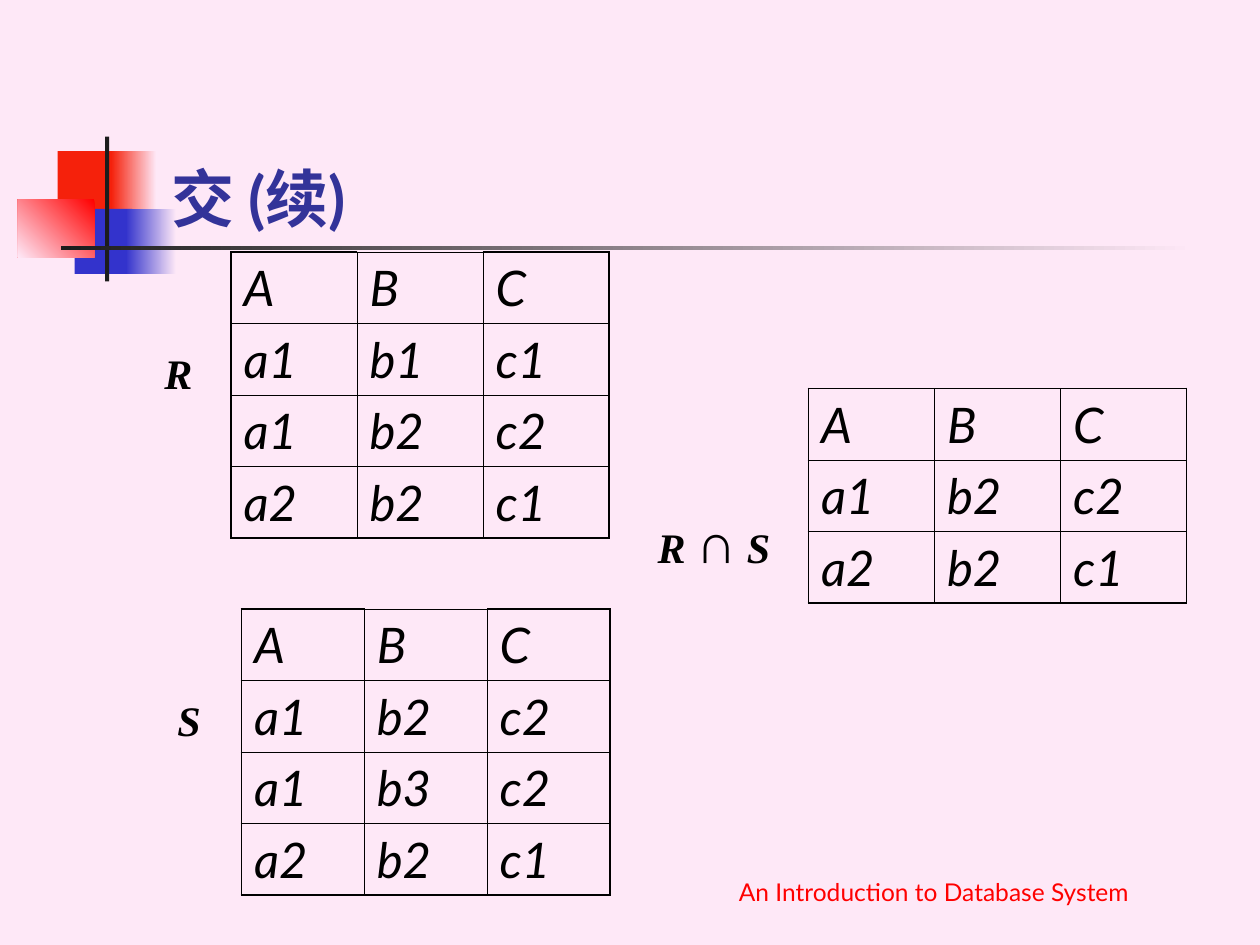
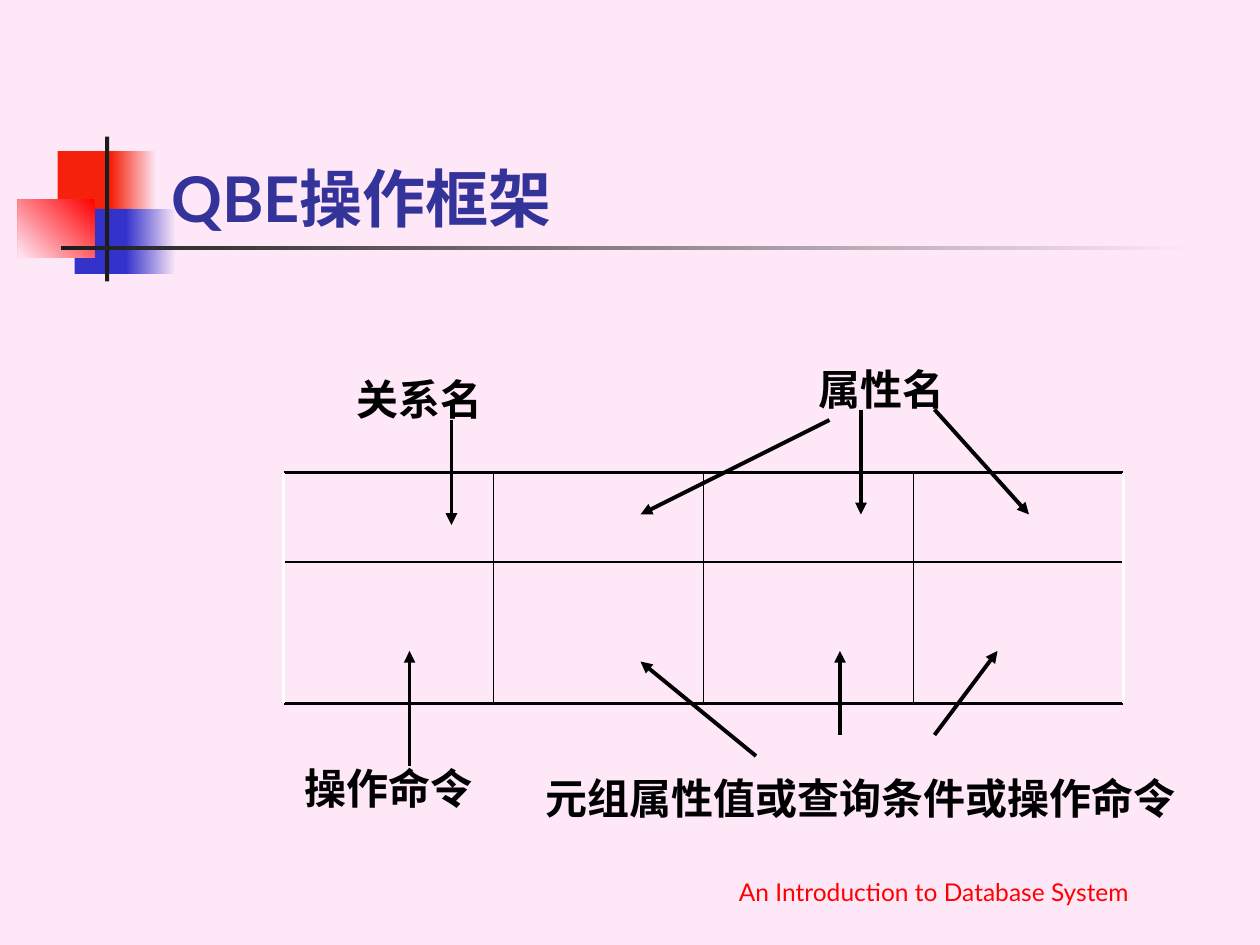
"""Build two database lecture slides: set intersection and the QBE operation frame."""
from dataclasses import dataclass

import lxml.etree
import pptx
import pptx.dml.color
import pptx.enum.shapes
import pptx.enum.text
import pptx.oxml.ns
import pptx.presentation
import pptx.shapes.autoshape
import pptx.slide
import pptx.text.text
import pptx.util

EMU_PER_PX = 7620
PINK, BLACK, WHITE, RED = "FEE8F7", "000000", "FFFFFF", "FF0000"
SCARLET, BLUE, CHARCOAL, NAVY = "F5210B", "3333CC", "1C1C1C", "333399"
SANS, SERIF = "Lato", "Times New Roman"
THIN_BORDER, THICK_BORDER = 0.45, 1.08
ROW_HEIGHT = 68
CENTER = pptx.enum.text.PP_ALIGN.CENTER
LEFT = pptx.enum.text.PP_ALIGN.LEFT
MIDDLE = pptx.enum.text.MSO_ANCHOR.MIDDLE
BOTTOM = pptx.enum.text.MSO_ANCHOR.BOTTOM


@dataclass(frozen=True)
class Box:
    left: int
    top: int
    width: int
    height: int


@dataclass(frozen=True)
class Block:
    box: Box
    colors: tuple[str, ...]
    angle: int = 180


@dataclass(frozen=True)
class TextStyle:
    size: int
    font: str
    color: str = BLACK
    bold: bool = False
    italic: bool = False


@dataclass(frozen=True)
class Label:
    text: str
    box: Box
    style: TextStyle
    anchor: pptx.enum.text.MSO_ANCHOR = MIDDLE
    wrap: bool = False


@dataclass(frozen=True)
class Relation:
    left: int
    top: int
    column_width: int
    rows: tuple[str, ...]


@dataclass(frozen=True)
class Line:
    start: tuple[int, int]
    end: tuple[int, int]
    width: float = 2.25
    color: str = BLACK
    arrow: bool = False


TITLE_STYLE = TextStyle(36, SANS, NAVY, bold=True)
CELL_STYLE = TextStyle(28, SANS, italic=True)
SYMBOL_STYLE = TextStyle(24, SERIF, bold=True, italic=True)
CAPTION_STYLE = TextStyle(24, SERIF, bold=True)
TITLE_BOX = Box(151, 80, 1022, 150)
FOOTER = Label("An Introduction to Database System", Box(610, 809, 559, 60),
               TextStyle(14, SANS, RED), BOTTOM, True)

ORNAMENT = (
    Block(Box(55, 144, 58, 62), (SCARLET,)),
    Block(Box(106, 144, 43, 62), (PINK, SCARLET)),
    Block(Box(71, 199, 55, 62), (BLUE,)),
    Block(Box(120, 199, 48, 62), (PINK, BLUE)),
    Block(Box(17, 190, 73, 55), (RED, PINK), 225),
    Block(Box(100, 130, 4, 138), (CHARCOAL,)),
    Block(Box(58, 234, 1080, 4), (PINK, CHARCOAL)),
)

RELATIONS = (
    Relation(220, 240, 120, ("A B C", "a1 b1 c1", "a1 b2 c2", "a2 b2 c1")),
    Relation(770, 370, 120, ("A B C", "a1 b2 c2", "a2 b2 c1")),
    Relation(230, 580, 117, ("A B C", "a1 b2 c2", "a1 b3 c2", "a2 b2 c1")),
)

RELATION_LABELS = (
    Label("R", Box(150, 300, 40, 110), SYMBOL_STYLE),
    Label("S", Box(160, 630, 40, 110), SYMBOL_STYLE),
)
INTERSECTION_BOX = Box(630, 460, 110, 110)

FRAME_X = tuple(270 + 200 * column for column in range(5))
FRAME_Y = (450, 535, 670)

FRAME_LABELS = (
    Label("关系名", Box(330, 340, 140, 80), CAPTION_STYLE),
    Label("属性名", Box(770, 330, 140, 80), CAPTION_STYLE),
    Label("操作命令", Box(300, 710, 140, 80), CAPTION_STYLE),
    Label("元组属性值或查询条件或操作命令", Box(680, 720, 280, 80), CAPTION_STYLE),
)

FRAME_ARROWS = (
    ((430, 400), (430, 500)),
    ((390, 730), (390, 620)),
    ((800, 700), (800, 620)),
    ((890, 700), (950, 620)),
    ((720, 720), (610, 630)),
    ((820, 390), (820, 490)),
    ((790, 400), (610, 490)),
    ((890, 390), (980, 490)),
)


def px(length: int) -> pptx.util.Emu:
    return pptx.util.Emu(length * EMU_PER_PX)


def rgb(color: str) -> pptx.dml.color.RGBColor:
    return pptx.dml.color.RGBColor.from_string(color)


def place(box: Box) -> tuple[pptx.util.Emu, ...]:
    return px(box.left), px(box.top), px(box.width), px(box.height)


def add_element(parent: lxml.etree.ElementBase, tag: str, **attributes: str) -> lxml.etree.ElementBase:
    return lxml.etree.SubElement(parent, pptx.oxml.ns.qn(tag), attributes)


def style_paragraph(paragraph: pptx.text.text._Paragraph, style: TextStyle) -> None:
    font = paragraph.font
    font.size = pptx.util.Pt(style.size)
    font.name = style.font
    font.color.rgb = rgb(style.color)
    font.bold = style.bold
    font.italic = style.italic


def add_rectangle(slide: pptx.slide.Slide, box: Box) -> pptx.shapes.autoshape.Shape:
    shape = slide.shapes.add_shape(pptx.enum.shapes.MSO_SHAPE.RECTANGLE, *place(box))
    shape.shadow.inherit = False
    shape.line.fill.background()
    return shape


def draw_block(slide: pptx.slide.Slide, block: Block) -> None:
    fill = add_rectangle(slide, block.box).fill
    if len(block.colors) == 1:
        fill.solid()
        fill.fore_color.rgb = rgb(block.colors[0])
    else:
        fill.gradient()
        fill.gradient_angle = block.angle
        for stop, color in zip(fill.gradient_stops, block.colors):
            stop.color.rgb = rgb(color)


def draw_label(slide: pptx.slide.Slide, label: Label) -> pptx.text.text._Paragraph:
    shape = add_rectangle(slide, label.box)
    shape.fill.background()
    frame = shape.text_frame
    frame.word_wrap = label.wrap
    frame.vertical_anchor = label.anchor
    paragraph = frame.paragraphs[0]
    paragraph.text = label.text
    paragraph.alignment = CENTER
    style_paragraph(paragraph, label.style)
    return paragraph


def draw_line(slide: pptx.slide.Slide, line: Line) -> None:
    connector = slide.shapes.add_connector(
        pptx.enum.shapes.MSO_CONNECTOR.STRAIGHT, *map(px, line.start + line.end))
    connector.line.color.rgb = rgb(line.color)
    connector.line.width = pptx.util.Pt(line.width)
    properties = connector.element.spPr
    if line.arrow:
        add_element(properties.find(pptx.oxml.ns.qn("a:ln")), "a:tailEnd", type="triangle")
    add_element(properties, "a:effectLst")


def set_border(properties: lxml.etree.ElementBase, side: str, width: float) -> None:
    border = add_element(properties, f"a:ln{side}", w=str(pptx.util.Pt(width)))
    add_element(add_element(border, "a:solidFill"), "a:srgbClr", val=BLACK)


def draw_relation(slide: pptx.slide.Slide, relation: Relation) -> None:
    rows = [row.split() for row in relation.rows]
    last_row, last_column = len(rows) - 1, len(rows[0]) - 1
    box = Box(relation.left, relation.top,
              relation.column_width * len(rows[0]), ROW_HEIGHT * len(rows))
    table = slide.shapes.add_table(len(rows), len(rows[0]), *place(box)).table
    table.first_row = table.horz_banding = False
    for row, values in enumerate(rows):
        for column, value in enumerate(values):
            cell = table.cell(row, column)
            cell.text = value
            style_paragraph(cell.text_frame.paragraphs[0], CELL_STYLE)
            thick_sides = {
                "L": column == 0,
                "R": column == last_column,
                "T": row == 0 and column in (0, last_column),
                "B": row == last_row,
            }
            for side, thick in thick_sides.items():
                set_border(cell._tc.get_or_add_tcPr(), side, THICK_BORDER if thick else THIN_BORDER)
            cell.fill.background()


def add_titled_slide(presentation: pptx.presentation.Presentation, text: str) -> pptx.slide.Slide:
    slide = presentation.slides.add_slide(presentation.slide_layouts.get_by_name("Title Only"))
    for block in ORNAMENT:
        draw_block(slide, block)
    title = slide.shapes.title
    title.element.getparent().append(title.element)
    title.left, title.top, title.width, title.height = place(TITLE_BOX)
    frame = title.text_frame
    frame.text = text
    frame.auto_size = pptx.enum.text.MSO_AUTO_SIZE.NONE
    frame.vertical_anchor = BOTTOM
    frame.paragraphs[0].alignment = LEFT
    style_paragraph(frame.paragraphs[0], TITLE_STYLE)
    return slide


def build_intersection(presentation: pptx.presentation.Presentation) -> None:
    slide = add_titled_slide(presentation, "交 (续)")
    for relation in RELATIONS:
        draw_relation(slide, relation)
    for label in RELATION_LABELS:
        draw_label(slide, label)
    paragraph = draw_label(slide, Label("R ", INTERSECTION_BOX, SYMBOL_STYLE))
    operator = paragraph.add_run()
    operator.text = "∩"
    operator.font.size = pptx.util.Pt(32)
    operator.font.italic = False
    paragraph.add_run().text = " S "
    draw_label(slide, FOOTER)


def build_qbe_frame(presentation: pptx.presentation.Presentation) -> None:
    slide = add_titled_slide(presentation, "QBE操作框架")
    left, right = FRAME_X[0], FRAME_X[-1]
    top, middle, bottom = FRAME_Y
    for y in FRAME_Y:
        draw_line(slide, Line((left, y), (right, y), 1 if y == middle else 2.25))
    for x in FRAME_X:
        width, color = (2.25, WHITE) if x in (left, right) else (1, BLACK)
        draw_line(slide, Line((x, top), (x, bottom), width, color))
    for label in FRAME_LABELS:
        draw_label(slide, label)
    for start, end in FRAME_ARROWS:
        draw_line(slide, Line(start, end, arrow=True))
    draw_label(slide, FOOTER)


def main() -> None:
    presentation = pptx.Presentation()
    presentation.slide_width, presentation.slide_height = px(1200), px(900)
    background = presentation.slide_master.background.fill
    background.solid()
    background.fore_color.rgb = rgb(PINK)
    build_intersection(presentation)
    build_qbe_frame(presentation)
    presentation.save("out.pptx")


if __name__ == "__main__":
    main()
